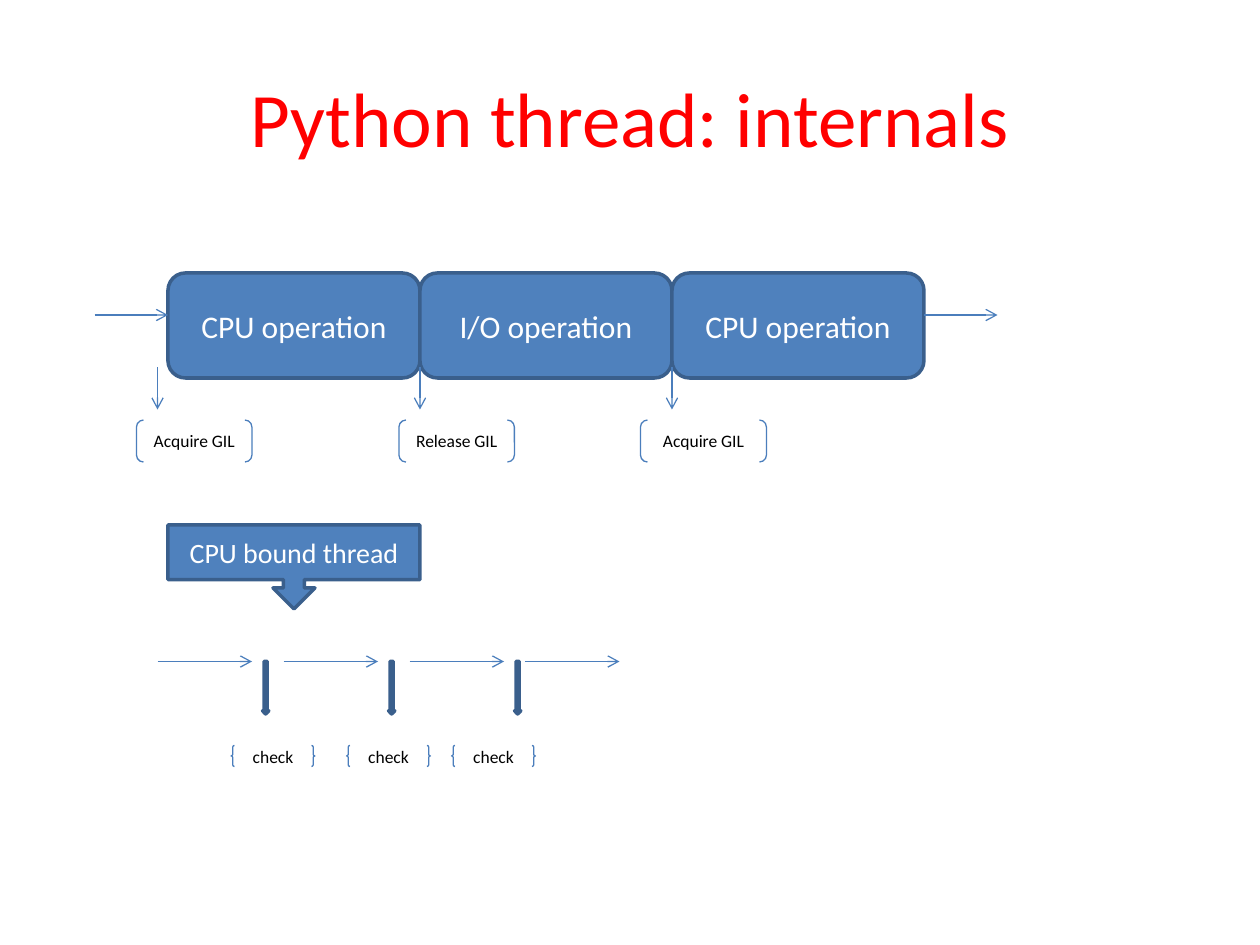
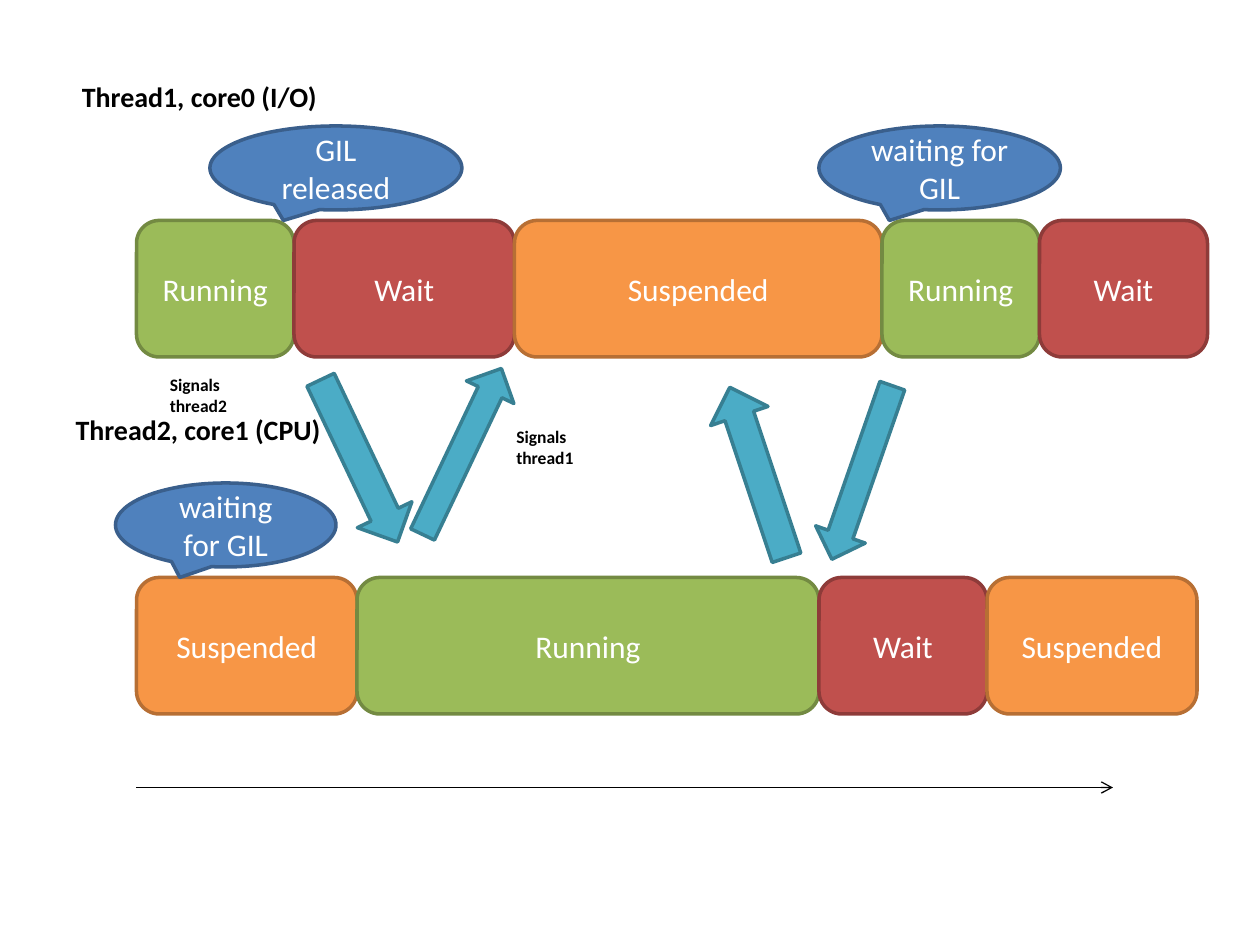
from dataclasses import dataclass
from itertools import accumulate
from lxml.etree import SubElement
from pptx import Presentation
from pptx.dml.color import RGBColor
from pptx.enum.shapes import MSO_CONNECTOR as Link, MSO_SHAPE as Shape
from pptx.enum.text import MSO_ANCHOR as Anchor, MSO_AUTO_SIZE as Fit, PP_ALIGN as Align
from pptx.oxml.ns import qn
from pptx.util import Inches, Pt


@dataclass(frozen=True)
class Theme:
    font: str = "Calibri"
    title: str = "FF0000"
    ink: str = "000000"
    light: str = "FFFFFF"
    thin_line: str = "4B7EBC"
    blue: tuple = ("4F81BD", "3A5F8C")
    green: tuple = ("9BBB59", "738A42")
    red: tuple = ("C0504D", "8E3B39")
    orange: tuple = ("F79646", "B76F34")
    teal: tuple = ("4BACC6", "377F92")
    title_size: int = 44
    state_size: int = 18
    heading_size: int = 16
    note_size: int = 10
    thick: float = 2
    thin: float = 0.75


THEME = Theme()
COLUMNS, ROWS = 120, 90

TITLE = "Python thread: internals"
OPERATIONS = ["CPU operation", "I/O operation", "CPU operation"]
LOCK_STEPS = [("Acquire GIL", 13, 11, 15), ("Release GIL", 38, 11, 40), ("Acquire GIL", 61, 12, 64)]
BOUND_THREAD = "CPU bound thread"
RUN_STARTS = [15, 27, 39, 50]
CHECK_BARS = [25, 37, 49]
CHECKS = [("check", 22), ("check", 33), ("check", 43)]

HEADINGS = [("Thread1, core0 (I/O)", 0.05, 1), ("Thread2, core1 (CPU)", 0, 171)]
STATE_COLOURS = {"Running": THEME.green, "Wait": THEME.red, "Suspended": THEME.orange}
TIMELINES = [
    (21, [("Running", 15), ("Wait", 21), ("Suspended", 35), ("Running", 15), ("Wait", 16)]),
    (55, [("Suspended", 21), ("Running", 44), ("Wait", 16), ("Suspended", 20)]),
]
CALLOUTS = [("GIL released", 20, 12, 24), ("waiting for GIL", 78, 12, 23), ("waiting for GIL", 11, 46, 21)]
NOTES = [("Signals thread2", 15, 35), ("Signals thread1", 48, 40)]
DOWN, UP = (Shape.DOWN_ARROW, 5.75, 17.1), (Shape.UP_ARROW, 5, 17.5)
SIGNALS = [(DOWN, 34.2, 43.9, 334.6), (UP, 44, 43, 25.4), (DOWN, 72.2, 45, 161.6), (UP, 82.1, 45, 199.2)]

deck = Presentation()
deck.slide_width, deck.slide_height = Inches(10), Inches(7.5)


def across(columns):
    return round(deck.slide_width * columns / COLUMNS)


def down(rows):
    return round(deck.slide_height * rows / ROWS)


def place(left, top, width, height):
    return across(left), down(top), across(width), down(height)


def move(item, left, top, width, height):
    item.left, item.top, item.width, item.height = place(left, top, width, height)


def write(para, text, size, colour=THEME.ink, bold=False, align=Align.CENTER):
    para.alignment = align
    span = para.add_run()
    span.text = text
    span.font.name, span.font.size, span.font.bold = THEME.font, Pt(size), bold
    span.font.color.rgb = RGBColor.from_string(colour)


def add_block(page, kind, left, top, width, height, colours=THEME.blue, text="", size=THEME.state_size):
    block = page.shapes.add_shape(kind, *place(left, top, width, height))
    block.shadow.inherit = False
    fill, edge = colours
    if fill:
        block.fill.solid()
        block.fill.fore_color.rgb = RGBColor.from_string(fill)
    else:
        block.fill.background()
    block.line.color.rgb = RGBColor.from_string(edge)
    block.line.width = Pt(THEME.thick if fill else THEME.thin)
    if text:
        block.text_frame.vertical_anchor = Anchor.MIDDLE
        write(block.text_frame.paragraphs[0], text, size, THEME.light if fill else THEME.ink)
    return block


def add_arrow(page, start, end, colour=THEME.thin_line):
    (x1, y1), (x2, y2) = start, end
    arrow = page.shapes.add_connector(Link.STRAIGHT, across(x1), down(y1), across(x2), down(y2))
    arrow.line.color.rgb = RGBColor.from_string(colour)
    arrow.line.width = Pt(THEME.thin)
    SubElement(arrow.line._get_or_add_ln(), qn("a:tailEnd"), type="arrow")
    SubElement(arrow._element.spPr, qn("a:effectLst"))


def build_internals():
    page = deck.slides.add_slide(deck.slide_layouts[5])
    title = page.shapes.title
    move(title, 6, 3.6, 108, 15)
    title.text_frame.vertical_anchor = Anchor.MIDDLE
    write(title.text_frame.paragraphs[0], TITLE, THEME.title_size, THEME.title)

    first, width = 16, 24
    for index, text in enumerate(OPERATIONS):
        add_block(page, Shape.ROUNDED_RECTANGLE, first + index * width, 26, width, 10, text=text)
    last = first + len(OPERATIONS) * width
    for start, end in [(first - 7, first), (last, last + 7)]:
        add_arrow(page, (start, 30), (end, 30))

    outline = (None, THEME.thin_line)
    for text, left, wide, arrow_x in LOCK_STEPS:
        add_block(page, Shape.DOUBLE_BRACKET, left, 40, wide, 4, outline, text, THEME.note_size)
        add_arrow(page, (arrow_x, 35), (arrow_x, 39))

    add_block(page, Shape.DOWN_ARROW_CALLOUT, first, 50, width, 8, text=BOUND_THREAD, size=THEME.heading_size)
    for start in RUN_STARTS:
        add_arrow(page, (start, 63), (start + 9, 63))
    for left in CHECK_BARS:
        add_block(page, Shape.DOWN_ARROW, left, 63, 0.6, 5)
    for text, left in CHECKS:
        add_block(page, Shape.DOUBLE_BRACE, left, 71, 8, 2, outline, text, THEME.note_size)


def add_headings(page):
    title, body = page.placeholders
    title._element.getparent().remove(title._element)
    move(body, 6, 7, 108, 75)
    frame = body.text_frame
    frame.auto_size = Fit.NONE
    for index, (text, indent, gap) in enumerate(HEADINGS):
        para = frame.add_paragraph() if index else frame.paragraphs[0]
        write(para, text, THEME.heading_size, bold=True, align=Align.LEFT)
        para.space_before = Pt(gap)
        properties = para._p.get_or_add_pPr()
        properties.set("marL", str(Inches(indent)))
        properties.set("indent", "0")
        SubElement(properties, qn("a:buNone"))


def build_timelines():
    page = deck.slides.add_slide(deck.slide_layouts[1])
    add_headings(page)
    for top, states in TIMELINES:
        lefts = accumulate((width for _, width in states), initial=13)
        for (state, width), left in zip(states, lefts):
            add_block(page, Shape.FLOWCHART_ALTERNATE_PROCESS, left, top, width, 13, STATE_COLOURS[state], state)
    for text, left, top, width in CALLOUTS:
        add_block(page, Shape.OVAL_CALLOUT, left, top, width, 8, text=text)
    for (kind, width, height), x, y, angle in SIGNALS:
        add_block(page, kind, x - width / 2, y - height / 2, width, height, THEME.teal).rotation = angle
    for text, left, top in NOTES:
        box = page.shapes.add_textbox(*place(left, top, 11, 5.25))
        box.text_frame.word_wrap = True
        write(box.text_frame.paragraphs[0], text, THEME.note_size, bold=True, align=Align.LEFT)
    add_arrow(page, (13, 75), (106, 75), THEME.ink)


build_internals()
build_timelines()
deck.save("out.pptx")
